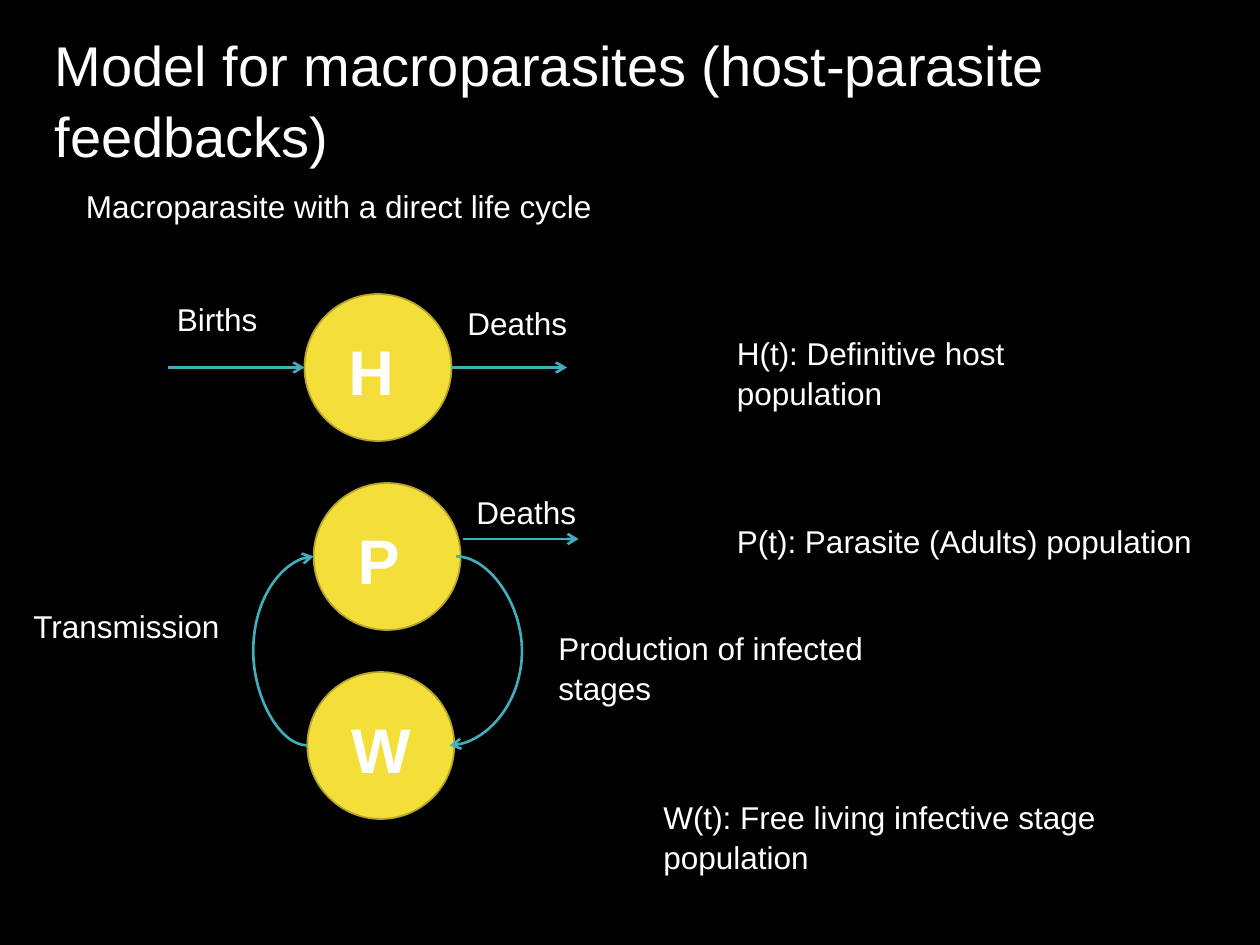
from lxml import etree
from pptx import Presentation
from pptx.dml.color import RGBColor
from pptx.enum.shapes import MSO_CONNECTOR, MSO_SHAPE
from pptx.enum.text import MSO_ANCHOR, MSO_AUTO_SIZE, PP_ALIGN
from pptx.oxml.ns import qn
from pptx.util import Pt

STRAIGHT, CURVE = MSO_CONNECTOR.STRAIGHT, MSO_CONNECTOR.CURVE
ELLIPSE = MSO_SHAPE.OVAL
TOP, LEFT = MSO_ANCHOR.TOP, PP_ALIGN.LEFT
NO_FIT = MSO_AUTO_SIZE.NONE

COLORS = {
    "background": "000000",
    "text": "FFFFFF",
    "circle": "F4DE3A",
    "outline": "B5A42B",
    "arrow": "41AEBD",
}
FONT = "Arial"
LABEL_SIZE = 18
LABEL_HEIGHT = 29
CIRCLE_SIZE = 84


def color(name):
    return RGBColor.from_string(COLORS[name])


def fill_text(shape, text, size, bold=False):
    text_frame = shape.text_frame
    text_frame.text = text
    text_frame.word_wrap = True
    text_frame.auto_size = NO_FIT
    text_frame.vertical_anchor = TOP
    paragraph = text_frame.paragraphs[0]
    paragraph.alignment = LEFT
    paragraph.line_spacing = 1.05
    font = paragraph.runs[0].font
    font.name, font.size, font.bold = FONT, Pt(size), bold
    font.color.rgb = color("text")


def add_title(slide, text, left, top, width, height):
    title = slide.shapes.title
    title.left, title.top = Pt(left), Pt(top)
    title.width, title.height = Pt(width), Pt(height)
    fill_text(title, text, 32)


def add_label(slide, text, left, top, width, height=LABEL_HEIGHT,
              size=LABEL_SIZE, bold=False):
    box = slide.shapes.add_textbox(Pt(left), Pt(top), Pt(width), Pt(height))
    fill_text(box, text, size, bold)


def add_population(slide, letter, left, top):
    circle = slide.shapes.add_shape(
        ELLIPSE, Pt(left), Pt(top), Pt(CIRCLE_SIZE), Pt(CIRCLE_SIZE))
    circle.shadow.inherit = False
    circle.fill.solid()
    circle.fill.fore_color.rgb = color("circle")
    circle.line.color.rgb = color("outline")
    circle.line.width = Pt(1)
    add_label(slide, letter, left + 18, top + 16.5, 48, 51, 36, True)


def add_arrow(slide, start, end, kind=STRAIGHT, head="tailEnd"):
    """Connect two points; head "tailEnd" points at end, "headEnd" at start."""
    connector = slide.shapes.add_connector(
        kind, Pt(start[0]), Pt(start[1]), Pt(end[0]), Pt(end[1]))
    connector.line.color.rgb = color("arrow")
    connector.line.width = Pt(1.5)
    properties = connector._element.spPr
    line = properties.find(qn("a:ln"))
    etree.SubElement(line, qn("a:" + head), type="arrow")
    etree.SubElement(properties, qn("a:effectLst"))
    return connector


def add_loop(slide, start, end, bulge_x, head="tailEnd"):
    """Curve between two points that swings out to bulge_x."""
    connector = add_arrow(slide, start, end, CURVE, head)
    ratio = (bulge_x - start[0]) / (end[0] - start[0])
    geometry = connector._element.spPr.find(qn("a:prstGeom"))
    guides = geometry.find(qn("a:avLst"))
    if guides is None:
        guides = etree.SubElement(geometry, qn("a:avLst"))
    etree.SubElement(guides, qn("a:gd"), name="adj1",
                     fmla=f"val {round(ratio * 100000)}")


def add_host(slide, left, top):
    middle, right = top + CIRCLE_SIZE / 2, left + CIRCLE_SIZE
    add_population(slide, "H", left, top)
    add_arrow(slide, (left - 78, middle), (left, middle))
    add_arrow(slide, (right, middle), (right + 66, middle))
    add_label(slide, "Births", left - 80, top - 1, 72)
    add_label(slide, "Deaths", right + 2, top + 1, 72)


def add_parasite(slide, left, top):
    right = left + CIRCLE_SIZE
    add_population(slide, "P", left, top)
    add_arrow(slide, (right + 1.5, top + 32), (right + 67.5, top + 32))
    add_label(slide, "Deaths", right + 2, top + 1, 72)


def add_life_cycle(slide, adult_left, adult_top, larva_left, larva_top):
    """Adult and free-living stages joined by two loops."""
    adult_y = adult_top + CIRCLE_SIZE / 2
    larva_y = larva_top + CIRCLE_SIZE / 2
    larva_right = larva_left + CIRCLE_SIZE - 2.6
    add_parasite(slide, adult_left, adult_top)
    add_population(slide, "W", larva_left, larva_top)
    add_loop(slide, (larva_left, larva_y), (adult_left, adult_y), 144.7)
    add_loop(slide, (larva_right, larva_y), (larva_right + 3.6, adult_y),
             298.3, "headEnd")
    add_label(slide, "Transmission", 12, 342.5, 125)
    add_label(slide, "Production of infected stages", 312, 355, 225, 51)


def add_definitions(slide):
    add_label(slide, "H(t): Definitive host population", 414, 186.5, 246)
    add_label(slide, "P(t): Parasite (Adults) population", 414, 293.5, 282)
    add_label(slide, "W(t): Free living infective stage population",
              372, 451.5, 330)


def main():
    presentation = Presentation()
    presentation.slide_width, presentation.slide_height = Pt(720), Pt(540)
    slide = presentation.slides.add_slide(presentation.slide_layouts[5])
    slide.background.fill.solid()
    slide.background.fill.fore_color.rgb = color("background")

    add_title(slide, "Model for macroparasites (host-parasite feedbacks)",
              24, 12, 672, 85)
    add_label(slide, "Macroparasite with a direct life cycle", 42, 102, 630)
    add_host(slide, 174, 168)
    add_life_cycle(slide, 179.2, 276, 175.6, 384)
    add_definitions(slide)
    presentation.save("out.pptx")


if __name__ == "__main__":
    main()
